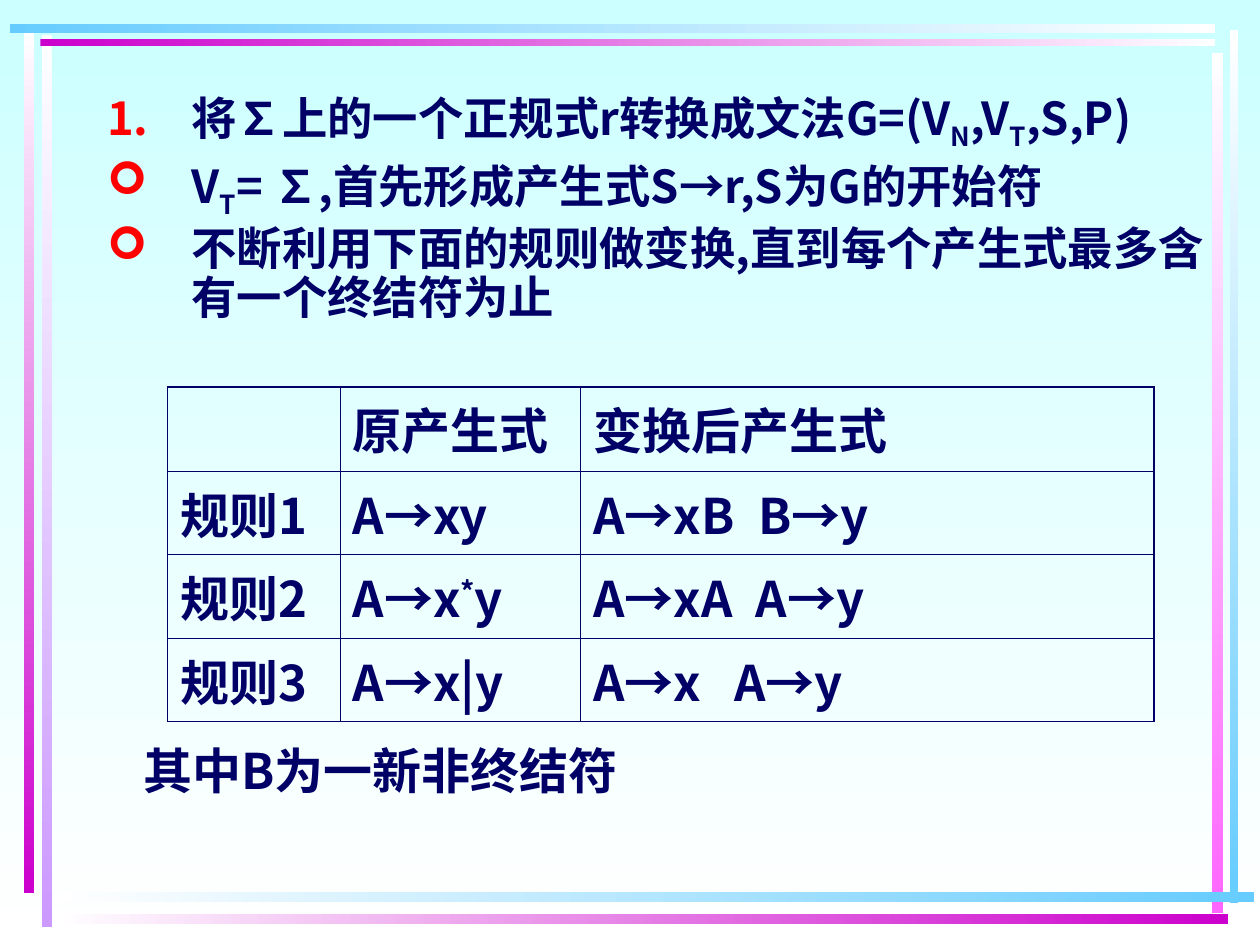
from lxml import etree
from pptx import Presentation
from pptx.dml.color import RGBColor
from pptx.enum.shapes import MSO_SHAPE
from pptx.enum.text import MSO_ANCHOR, MSO_AUTO_SIZE
from pptx.oxml.ns import qn
from pptx.util import Inches, Pt

RECT = MSO_SHAPE.RECTANGLE
TOP = MSO_ANCHOR.TOP
NO_FIT = MSO_AUTO_SIZE.NONE

NAVY = RGBColor(0x00, 0x00, 0x66)
RED = RGBColor(0xFF, 0x00, 0x00)
WHITE = RGBColor(0xFF, 0xFF, 0xFF)
PALE_CYAN = RGBColor(0xCC, 0xFF, 0xFF)
SKY = RGBColor(0x66, 0xCC, 0xFF)
MAGENTA = RGBColor(0xCC, 0x00, 0xCC)
PINK = RGBColor(0xFF, 0x66, 0xFF)
LILAC = RGBColor(0xCC, 0x99, 0xFF)

FONT = "Noto Sans CJK SC"
SUB, SUPER = -25000, 30000
RIGHTWARD, DOWNWARD = 0, 270
OUTER, INNER = 1.08, 0.45

# left, top, width, height, first colour, last colour, direction
FRAME_BARS = [
    (0.33, 0.28, 0.08, 7.08, WHITE, LILAC, DOWNWARD),
    (0.19, 0.25, 0.08, 6.84, WHITE, MAGENTA, DOWNWARD),
    (9.76, 0.24, 0.07, 6.93, WHITE, SKY, DOWNWARD),
    (9.62, 0.42, 0.09, 6.83, WHITE, PINK, DOWNWARD),
    (0.45, 7.08, 9.5, 0.08, WHITE, SKY, RIGHTWARD),
    (0.45, 7.25, 9.3, 0.08, WHITE, MAGENTA, RIGHTWARD),
    (0.32, 0.31, 9.32, 0.06, MAGENTA, WHITE, RIGHTWARD),
    (0.08, 0.19, 9.56, 0.07, SKY, WHITE, RIGHTWARD),
]

# A paragraph is a list of (text, baseline) runs
STEPS = [
    ("1.", [("将∑上的一个正规式r转换成文法G=(V", 0), ("N", SUB), (",V", 0),
            ("T", SUB), (",S,P)", 0)]),
    ("➢", [("V", 0), ("T", SUB), ("= ∑,首先形成产生式S→r,S为G的开始符", 0)]),
    ("➢", [("不断利用下面的规则做变换,直到每个产生式最多含有一个终结符为止", 0)]),
]

RULES = [
    [[], [("原产生式", 0)], [("变换后产生式", 0)]],
    [[("规则1", 0)], [("A→xy", 0)], [("A→xB\tB→y", 0)]],
    [[("规则2", 0)], [("A→x", 0), ("*", SUPER), ("y", 0)], [("A→xA\tA→y", 0)]],
    [[("规则3", 0)], [("A→x|y", 0)], [("A→x\tA→y", 0)]],
]
RULE_TABS = [None, 1.31, 1.29, 1.12]


def add_child(parent, tag, **attrs):
    return etree.SubElement(parent, qn(tag), attrs)


class SlideBuilder:
    def __init__(self, s):
        self.s = s

    def gradient(self, fill, first, last, direction):
        fill.gradient()
        fill.gradient_angle = direction
        for stop, color in zip(fill.gradient_stops, (first, last)):
            stop.color.rgb = color

    def bar(self, left, top, width, height, first, last, direction):
        sp = self.s.shapes.add_shape(RECT, *map(Inches, (left, top, width, height)))
        sp.shadow.inherit = False
        sp.line.fill.background()
        self.gradient(sp.fill, first, last, direction)

    def runs(self, p, parts, size):
        style = {"name": FONT, "size": Pt(size), "bold": True}
        for text, baseline in parts:
            r = p.add_run()
            r.text = text
            for name, value in style.items():
                setattr(r.font, name, value)
            r.font.color.rgb = NAVY
            rPr = r.font._element
            add_child(rPr, "a:ea", typeface=FONT)
            if baseline:
                rPr.set("baseline", str(baseline))

    def bullet(self, p, mark):
        pPr = p._p.get_or_add_pPr()
        pPr.set("marL", str(Inches(0.67)))
        pPr.set("indent", str(-Inches(0.67)))
        add_child(add_child(pPr, "a:buClr"), "a:srgbClr", val=str(RED))
        if mark == "1.":
            add_child(pPr, "a:buFont", typeface=FONT)
            add_child(pPr, "a:buAutoNum", type="arabicPeriod")
        else:
            add_child(pPr, "a:buFont", typeface="Wingdings")
            add_child(pPr, "a:buChar", char=mark)

    def body(self, box, items, size):
        sp = self.s.placeholders[1]
        sp.left, sp.top, sp.width, sp.height = map(Inches, box)
        tf = sp.text_frame
        tf.auto_size, tf.vertical_anchor, tf.word_wrap = NO_FIT, TOP, True
        for i, (mark, parts) in enumerate(items):
            p = tf.add_paragraph() if i else tf.paragraphs[0]
            self.bullet(p, mark)
            p.line_spacing = 0.9
            p.space_before = Pt(7 if i else 0)
            self.runs(p, parts, size)

    def borders(self, cell, widths):
        tcPr = cell._tc.get_or_add_tcPr()
        for side, width in widths.items():
            ln = add_child(tcPr, "a:ln" + side, w=str(Pt(width)))
            add_child(add_child(ln, "a:solidFill"), "a:srgbClr", val=str(NAVY))

    def table(self, left, top, col_widths, row_heights, rows, tabs, size):
        box = (left, top, sum(col_widths), sum(row_heights))
        table = self.s.shapes.add_table(
            len(rows), len(col_widths), *map(Inches, box)).table
        table.first_row = table.horz_banding = False
        for col, width in zip(table.columns, col_widths):
            col.width = Inches(width)
        for row, height in zip(table.rows, row_heights):
            row.height = Inches(height)
        last_row, last_col = len(rows) - 1, len(col_widths) - 1
        for i, row in enumerate(rows):
            for j, parts in enumerate(row):
                cell = table.cell(i, j)
                self.borders(cell, {
                    "L": INNER if j else OUTER,
                    "R": OUTER if j == last_col else INNER,
                    "T": INNER if i else OUTER,
                    "B": OUTER if i == last_row else INNER,
                })
                cell.fill.background()
                p = cell.text_frame.paragraphs[0]
                if j == last_col and tabs[i]:
                    tab_list = add_child(p._p.get_or_add_pPr(), "a:tabLst")
                    add_child(tab_list, "a:tab", pos=str(Inches(tabs[i])), algn="l")
                self.runs(p, parts, size)

    def text(self, box, parts, size):
        tf = self.s.shapes.add_textbox(*map(Inches, box)).text_frame
        tf.word_wrap = True
        self.runs(tf.paragraphs[0], parts, size)


def main():
    prs = Presentation()
    prs.slide_width, prs.slide_height = Inches(10), Inches(7.5)
    s = prs.slides.add_slide(prs.slide_layouts[1])
    title = s.shapes.title._element
    title.getparent().remove(title)

    builder = SlideBuilder(s)
    builder.gradient(s.background.fill, PALE_CYAN, WHITE, DOWNWARD)
    for bar in FRAME_BARS:
        builder.bar(*bar)
    builder.body((0.75, 0.67, 8.92, 2.17), STEPS, 25.9)
    builder.table(1.33, 3.07, [1.37, 1.91, 4.55], [0.67, 0.66, 0.66, 0.66],
                  RULES, RULE_TABS, 28)
    builder.text((1.04, 5.83, 4.14, 0.57), [("其中B为一新非终结符", 0)], 28)
    prs.save("out.pptx")


if __name__ == "__main__":
    main()
